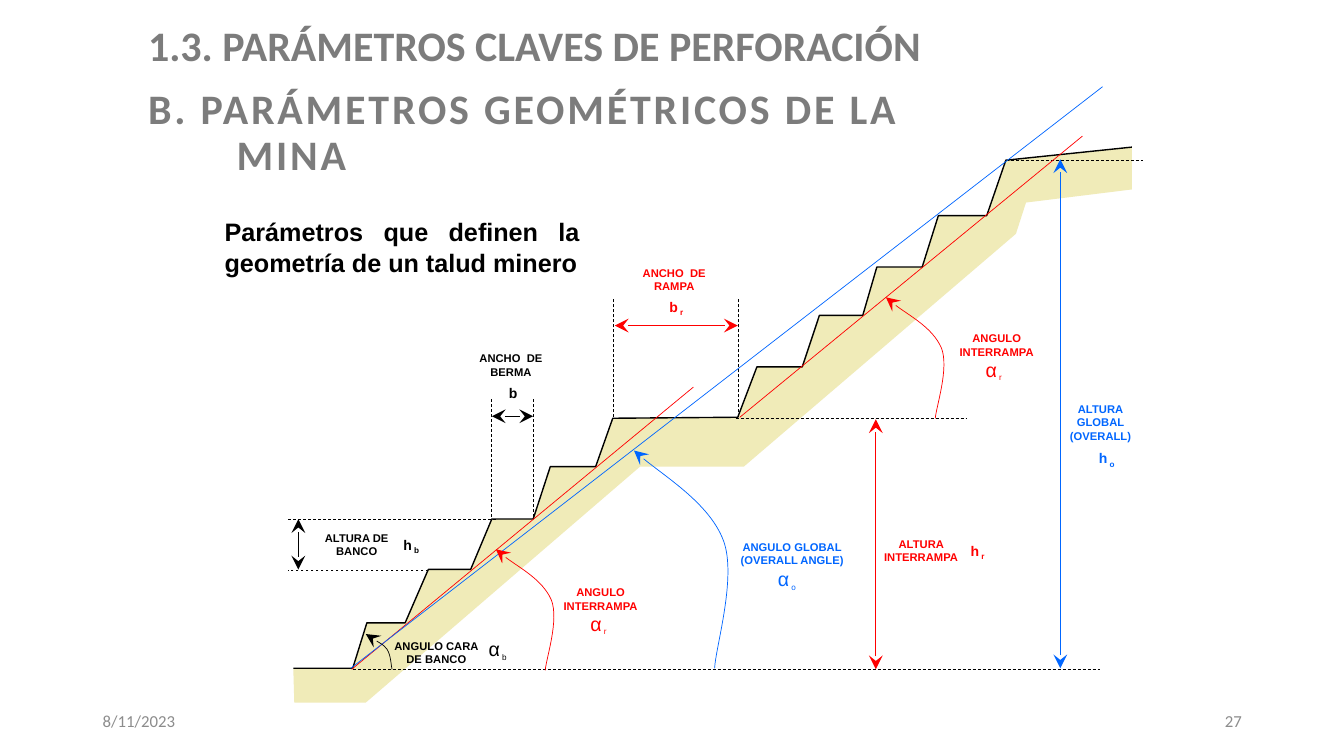
from dataclasses import dataclass

from lxml import etree
from pptx import Presentation
from pptx import util as u
from pptx.dml.color import RGBColor
from pptx.enum import dml, shapes, text
from pptx.oxml.ns import qn

BLACK = RGBColor(0x00, 0x00, 0x00)
RED = RGBColor(0xFF, 0x00, 0x00)
BLUE = RGBColor(0x00, 0x66, 0xFF)
SAND = RGBColor(0xF0, 0xEB, 0xB8)
GREY = RGBColor(0x7C, 0x7C, 0x7C)
PALE = RGBColor(0x8C, 0x8C, 0x8C)
LEFT, MID, RIGHT, FULL = (text.PP_ALIGN.LEFT, text.PP_ALIGN.CENTER,
                          text.PP_ALIGN.RIGHT, text.PP_ALIGN.JUSTIFY)
Point = tuple[float, float]


@dataclass
class Rule:
    start: Point
    end: Point
    color: RGBColor = BLACK
    dash: bool = False
    heads: tuple[str, ...] = ()


@dataclass
class Arc:
    points: list[Point]  # start, then control, control, end for each piece
    color: RGBColor


@dataclass
class Label:
    box: tuple[float, float, float, float]
    words: str
    color: RGBColor


@dataclass
class Sign:
    spot: Point
    letter: str
    sub: str
    color: RGBColor


# Slope outline (inches), then the underside of the rock
CREST = [(2.91, 6.63), (3.5, 6.63), (3.64, 6.18), (4.02, 6.18), (4.25, 5.65),
         (4.67, 5.65), (4.88, 5.15), (5.29, 5.15), (5.46, 4.63), (5.91, 4.63),
         (6.08, 4.15), (7.32, 4.14), (7.51, 3.64), (7.96, 3.64), (8.13, 3.13),
         (8.56, 3.13), (8.7, 2.65), (9.15, 2.65), (9.31, 2.14), (9.79, 2.14),
         (9.98, 1.59), (11.23, 1.46)]
UNDER = [(11.23, 1.88), (10.18, 2.01), (10.08, 2.32), (7.38, 4.63),
         (6.35, 4.63), (3.63, 6.97), (2.92, 6.97)]

GUIDES = [((3.5, 6.64), (10.91, 6.64)), ((4.25, 5.66), (2.86, 5.66)),
          ((4.92, 5.15), (2.84, 5.15)), ((7.3, 4.15), (9.59, 4.15)),
          ((4.88, 5.13), (4.88, 3.96)), ((5.29, 5.13), (5.29, 3.96)),
          ((6.09, 4.14), (6.09, 2.96)), ((7.33, 4.14), (7.33, 2.96)),
          ((9.98, 1.59), (11.34, 1.59))]
SPANS = [((2.96, 5.65), (2.96, 5.15), BLACK), ((8.69, 6.64), (8.69, 4.16), RED),
         ((10.52, 6.63), (10.52, 1.58), BLUE), ((6.1, 3.23), (7.32, 3.23), RED),
         ((4.88, 4.13), (5.29, 4.13), BLACK)]
RULES = [Rule(a, b, dash=True) for a, b in GUIDES]
RULES += [Rule((3.49, 6.64), (6.88, 3.84), RED),
          Rule((7.34, 4.14), (10.74, 1.35), RED),
          Rule((3.48, 6.63), (10.94, 0.86), BLUE)]
RULES += [Rule(a, b, hue, heads=("headEnd", "tailEnd")) for a, b, hue in SPANS]

RAMP = [(5.41, 6.65), (5.42, 6.53), (5.55, 6.15), (5.47, 5.95),
        (5.38, 5.75), (5.03, 5.56), (4.92, 5.45)]
ARCS = [Arc([(3.89, 6.64), (3.88, 6.6), (3.88, 6.5), (3.84, 6.44),
             (3.8, 6.39), (3.67, 6.32), (3.63, 6.29)], BLACK),
        Arc(RAMP, RED),
        Arc([(x + 3.87, y - 2.5) for x, y in RAMP], RED),
        Arc([(7.09, 6.63), (7.1, 6.42), (7.31, 5.73), (7.18, 5.37),
             (7.05, 5.01), (6.48, 4.65), (6.29, 4.47)], BLUE)]

LABELS = [Label((3.85, 6.34, 0.96, 0.27), "ANGULO CARA DE BANCO", BLACK),
          Label((5.48, 5.81, 0.96, 0.27), "ANGULO INTERRAMPA", RED),
          Label((3.06, 5.27, 0.96, 0.27), "ALTURA DE BANCO", BLACK),
          Label((9.41, 3.29, 0.96, 0.27), "ANGULO INTERRAMPA", RED),
          Label((8.66, 5.33, 0.96, 0.27), "ALTURA INTERRAMPA", RED),
          Label((7.29, 5.36, 1.14, 0.27), "ANGULO GLOBAL\n(OVERALL ANGLE)", BLUE),
          Label((10.44, 3.99, 0.96, 0.4), "ALTURA\nGLOBAL\n(OVERALL)", BLUE),
          Label((6.21, 2.64, 0.96, 0.27), "ANCHO  DE RAMPA", RED),
          Label((4.59, 3.49, 0.96, 0.27), "ANCHO  DE BERMA", BLACK)]
ANGLES = [Sign((4.75, 6.27), "α", " b", BLACK), Sign((5.76, 6.02), "α", " r", RED),
          Sign((9.68, 3.5), "α", " r", RED), Sign((7.62, 5.58), "α", " o", BLUE)]
SIZES = [Sign((3.87, 5.32), "h", " b", BLACK), Sign((9.49, 5.38), "h", " r", RED),
         Sign((10.77, 4.46), "h", " o", BLUE), Sign((6.5, 2.96), "b", " r", RED),
         Sign((4.88, 3.81), "b", "", BLACK)]


def inch(value: float) -> u.Length:
    return u.Cm(value * 2.54)


def write(pool, box, words: str, *, size: float, color: RGBColor, font="Arial",
          bold=False, align=LEFT, anchor=text.MSO_ANCHOR.TOP, inset=True,
          wrap=True, sub="", hang=0.0, space=None, track=0) -> None:
    frame = pool.add_textbox(*map(inch, box)).text_frame
    frame.word_wrap, frame.vertical_anchor = wrap, anchor
    if not inset:
        frame.margin_left = frame.margin_right = 0
        frame.margin_top = frame.margin_bottom = 0
    for i, line in enumerate(words.split("\n")):
        para = frame.add_paragraph() if i else frame.paragraphs[0]
        para.alignment, para.line_spacing = align, space
        if hang:
            props = para._p.get_or_add_pPr()
            props.set("marL", str(inch(hang)))
            props.set("indent", str(-inch(hang)))
        for part in filter(None, (line, sub)):
            run = para.add_run()
            run.text = part
            run.font.name, run.font.bold = font, bold
            run.font.size = u.Pt(10 if part is sub else size)
            run.font.color.rgb = color
            if part is sub:
                run.font._element.set("baseline", "-25000")
            if track:
                run.font._element.set("spc", str(track))


def stroke(line, color: RGBColor, width: float, heads=()) -> None:
    line.color.rgb, line.width = color, u.Pt(width)
    for end in heads:
        etree.SubElement(line._get_or_add_ln(), qn("a:" + end),
                         type="stealth", w="lg", len="lg")


def draw(pool, rule: Rule) -> None:
    item = pool.add_connector(shapes.MSO_CONNECTOR.STRAIGHT,
                              *map(inch, rule.start + rule.end))
    if rule.dash:
        item.line.dash_style = dml.MSO_LINE.DASH
    stroke(item.line, rule.color, 0.5, rule.heads)
    etree.SubElement(item._element.spPr, qn("a:effectLst"))


def trace(pool, points: list[Point], close=False):
    spots = [(inch(x), inch(y)) for x, y in points]
    pen = pool.build_freeform(*spots[0])
    pen.add_line_segments(spots[1:], close=close)
    item = pen.convert_to_shape()
    item.shadow.inherit = False
    item.fill.background()
    return item


def bend(pool, arc: Arc) -> None:
    item = trace(pool, arc.points)
    legs = list(item._element.iter(qn("a:lnTo")))
    for i in range(0, len(legs), 3):
        curve = etree.Element(qn("a:cubicBezTo"))
        legs[i].addprevious(curve)
        for leg in legs[i:i + 3]:
            curve.append(leg[0])
            leg.getparent().remove(leg)
    stroke(item.line, arc.color, 0.5, ("tailEnd",))


def main() -> None:
    deck = Presentation()
    deck.slide_width, deck.slide_height = u.Cm(33.87), u.Cm(19.05)
    page = deck.slides.add_slide(deck.slide_layouts[6]).shapes

    # Headings and footer
    head = dict(size=30, color=GREY, font="Calibri", bold=True, hang=0.88, space=0.9)
    foot = dict(size=12, color=PALE, font="Calibri", anchor=text.MSO_ANCHOR.MIDDLE)
    write(page, (1.37, 0.13, 8.75, 0.7), "1.3. PARÁMETROS CLAVES DE PERFORACIÓN",
          anchor=text.MSO_ANCHOR.MIDDLE, **head)
    write(page, (1.37, 0.83, 8.75, 0.7), "B. PARÁMETROS GEOMÉTRICOS DE LA MINA",
          track=200, **head)
    write(page, (0.92, 6.95, 3, 0.4), "8/11/2023", **foot)
    write(page, (9.42, 6.95, 3, 0.4), "27", align=RIGHT, **foot)

    # Slope diagram
    mine = page.add_group_shape().shapes
    rock = trace(mine, CREST + UNDER, close=True)
    rock.fill.solid()
    rock.fill.fore_color.rgb = SAND
    rock.line.fill.background()
    stroke(trace(mine, CREST).line, BLACK, 1)
    for rule in RULES:
        draw(mine, rule)
    for arc in ARCS:
        bend(mine, arc)

    # Diagram labels
    for label in LABELS:
        write(mine, label.box, label.words, size=8, color=label.color,
              bold=True, align=MID, inset=False)
    for sign in ANGLES:
        write(mine, (*sign.spot, 0.4, 0.33), sign.letter, size=14,
              color=sign.color, sub=sign.sub, wrap=False)
    for sign in SIZES:
        write(mine, (*sign.spot, 0.42, 0.17), sign.letter, size=10, bold=True,
              color=sign.color, sub=sign.sub, align=MID, inset=False)

    # Definition
    write(page, (2.13, 2.1, 3.72, 0.7), "Parámetros que definen la geometría de un talud minero",
          size=18, color=BLACK, bold=True, align=FULL)
    deck.save("out.pptx")


if __name__ == "__main__":
    main()
